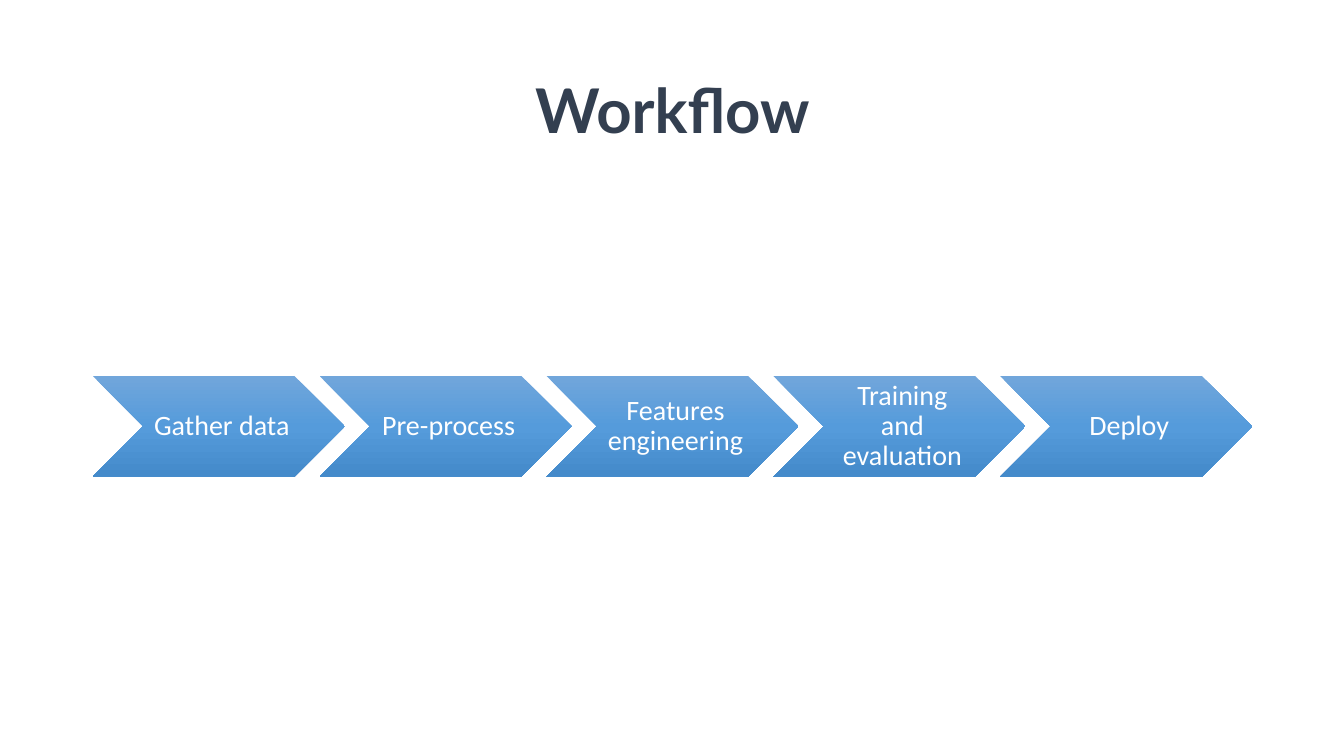
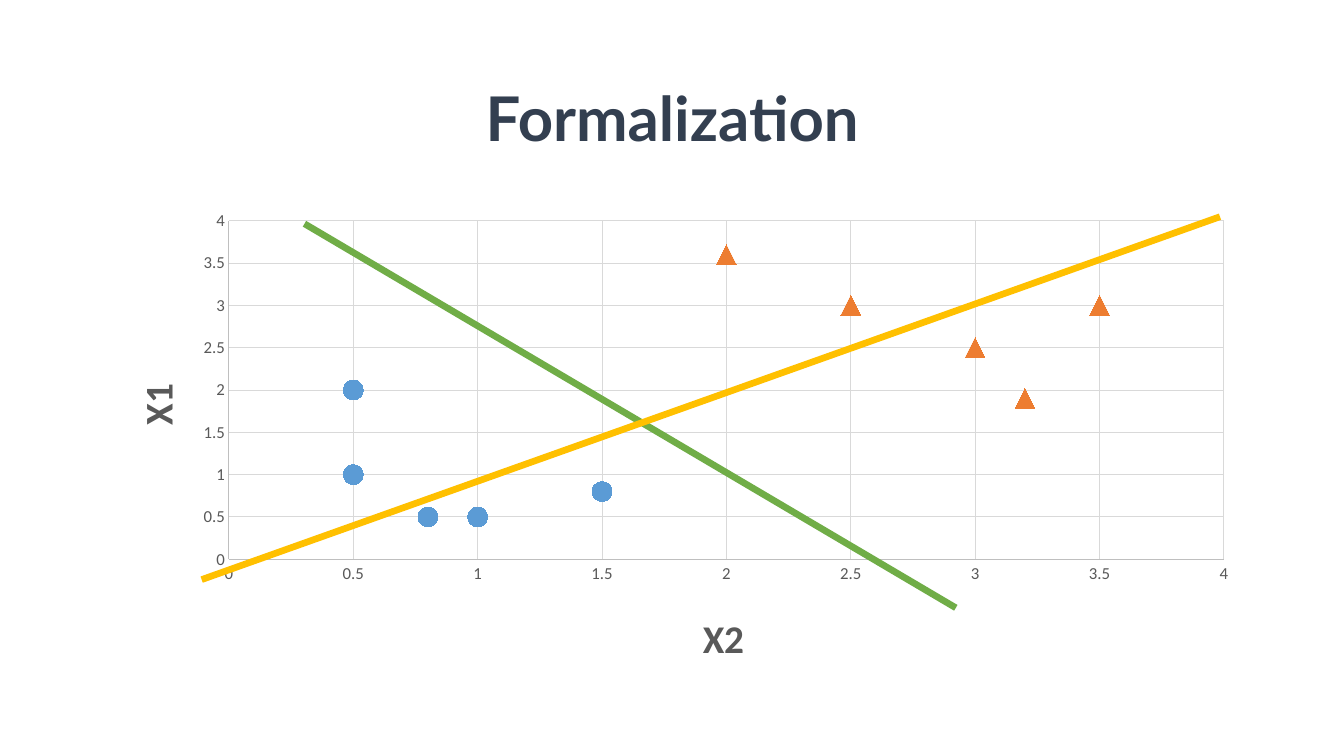
import copy

import pptx
import pptx.chart.data
import pptx.dml.color
import pptx.enum.chart
import pptx.enum.shapes
import pptx.enum.text
import pptx.oxml
import pptx.oxml.ns
import pptx.util

Inches, Pt = pptx.util.Inches, pptx.util.Pt
RGB = pptx.dml.color.RGBColor
qn = pptx.oxml.ns.qn
MARKER = pptx.enum.chart.XL_MARKER_STYLE

# Shared style
NAVY, WHITE = RGB(0x33, 0x3F, 0x50), RGB(0xFF, 0xFF, 0xFF)
BLUE, ORANGE = RGB(0x5B, 0x9B, 0xD5), RGB(0xED, 0x7D, 0x31)
GREEN, YELLOW = RGB(0x70, 0xAD, 0x47), RGB(0xFF, 0xC0, 0x00)
TEXT_GREY, AXIS_GREY, GRID_GREY = RGB(0x59, 0x59, 0x59), RGB(0xBF, 0xBF, 0xBF), RGB(0xD9, 0xD9, 0xD9)
STEP_GRADIENT = [(0, RGB(0x71, 0xA6, 0xDB)), (0.5, RGB(0x55, 0x9B, 0xDB)), (1, RGB(0x44, 0x8A, 0xCA))]
TITLE_FONT, BODY_FONT = "Lato", "Calibri"
LEFT, WIDTH = 0.92, 11.5

# Workflow content
STEPS = ["Gather data", "Pre-process", "Features engineering", "Training and evaluation", "Deploy"]
STEP_TOP, STEP_WIDTH, STEP_HEIGHT, STEP_PITCH = 3.73, 2.5, 1, 2.25

# Formalization content: points are (X2, X1)
CLASSES = [
    ("Series 1", BLUE, MARKER.CIRCLE, [(0.5, 1), (0.5, 2), (1, 0.5), (0.8, 0.5), (1.5, 0.8)]),
    ("Series 2", ORANGE, MARKER.TRIANGLE, [(3.5, 3), (3.2, 1.9), (2, 3.6), (3, 2.5), (2.5, 3)]),
]
BOUNDARIES = [(GREEN, (3.02, 2.22), (9.48, 6.03)), (YELLOW, (12.1, 2.15), (2, 5.75))]
CHART_BOX = (LEFT, 2, WIDTH, 4.76)
PLOT_BOX = (2.27, 2.19, 9.87, 3.36)
X2_TITLE_AT, X1_TITLE_AT = (6.9, 6), (1.23, 3.74)


def add_titled_slide(deck, title, top):
    slide = deck.slides.add_slide(deck.slide_layouts[5])
    heading = slide.shapes.title
    heading.left, heading.top = Inches(LEFT), Inches(top)
    heading.width, heading.height = Inches(WIDTH), Inches(1.45)
    heading.text_frame.text = title
    heading.text_frame.vertical_anchor = pptx.enum.text.MSO_ANCHOR.MIDDLE
    style_paragraph(heading.text_frame.paragraphs[0], TITLE_FONT, 44, NAVY, True)
    return slide


def style_paragraph(paragraph, font, size, color, bold=False):
    paragraph.alignment = pptx.enum.text.PP_ALIGN.CENTER
    paragraph.line_spacing = 0.9
    for run in paragraph.runs:
        style_font(run.font, font, size, color, bold)


def style_font(font, name, size, color, bold=False):
    font.name, font.size, font.bold = name, Pt(size), bold
    font.color.rgb = color


def style_line(line, color, width):
    line.color.rgb = color
    line.width = Pt(width)


def add_step(slide, label, left):
    step = slide.shapes.add_shape(
        pptx.enum.shapes.MSO_SHAPE.CHEVRON,
        Inches(left), Inches(STEP_TOP), Inches(STEP_WIDTH), Inches(STEP_HEIGHT))
    step.shadow.inherit = False
    step.line.fill.background()
    step.fill.gradient()
    step.fill.gradient_angle = 270
    # A new gradient has two stops; add the third
    stops = step._element.spPr.find(".//" + qn("a:gsLst"))
    stops.append(copy.deepcopy(stops[-1]))
    for stop, (position, color) in zip(step.fill.gradient_stops, STEP_GRADIENT):
        stop.position = position
        stop.color.rgb = color
    frame = step.text_frame
    frame.text = label
    frame.word_wrap = True
    frame.vertical_anchor = pptx.enum.text.MSO_ANCHOR.MIDDLE
    frame.margin_left = Inches(0.09)
    frame.margin_right = frame.margin_top = frame.margin_bottom = Inches(0.03)
    style_paragraph(frame.paragraphs[0], BODY_FONT, 20, WHITE)


def set_layout(parent, index, left, top, width=None, height=None):
    """Place a chart part by slide inches."""
    layout = parent.find(qn("c:layout"))
    if layout is None:
        layout = pptx.oxml.parse_xml(f'<c:layout {pptx.oxml.ns.nsdecls("c")}/>')
        parent.insert(index, layout)
    chart_left, chart_top, chart_width, chart_height = CHART_BOX
    values = [("xMode", "edge"), ("yMode", "edge"),
              ("x", (left - chart_left) / chart_width), ("y", (top - chart_top) / chart_height)]
    if width:
        values = [("layoutTarget", "inner")] + values
        values += [("w", width / chart_width), ("h", height / chart_height)]
    manual = layout.makeelement(qn("c:manualLayout"), {})
    layout.append(manual)
    for tag, value in values:
        manual.append(manual.makeelement(qn("c:" + tag), {"val": str(value)}))


def style_axis(axis, title, title_at, rotation):
    axis.minimum_scale, axis.maximum_scale, axis.major_unit = 0, 4, 0.5
    axis.major_tick_mark = axis.minor_tick_mark = pptx.enum.chart.XL_TICK_MARK.NONE
    axis.has_major_gridlines = True
    style_line(axis.major_gridlines.format.line, GRID_GREY, 0.75)
    style_line(axis.format.line, AXIS_GREY, 0.75)
    style_font(axis.tick_labels.font, BODY_FONT, 12, TEXT_GREY)
    axis.tick_labels.number_format = "General"
    axis.tick_labels.number_format_is_linked = False
    frame = axis.axis_title.text_frame
    frame.text = title
    style_font(frame.paragraphs[0].runs[0].font, BODY_FONT, 28, TEXT_GREY, True)
    title_xml = axis.axis_title._element
    body = title_xml.find(".//" + qn("a:bodyPr"))
    body.set("rot", str(rotation * 60000))
    body.set("vert", "horz")
    set_layout(title_xml, 1, *title_at)


def add_scatter(slide):
    data = pptx.chart.data.XyChartData()
    for name, _, _, points in CLASSES:
        series = data.add_series(name)
        for x2, x1 in points:
            series.add_data_point(x2, x1)
    chart = slide.shapes.add_chart(
        pptx.enum.chart.XL_CHART_TYPE.XY_SCATTER, *map(Inches, CHART_BOX), data).chart
    chart.has_title = chart.has_legend = False
    chart.font.name, chart.font.size = BODY_FONT, Pt(10)
    plot = chart.plots[0]
    plot.vary_by_categories = False
    for series, (_, color, marker, _) in zip(plot.series, CLASSES):
        series.smooth = False
        series.format.line.fill.background()
        series.marker.style, series.marker.size = marker, 14
        series.marker.format.fill.solid()
        series.marker.format.fill.fore_color.rgb = color
        style_line(series.marker.format.line, color, 0.75)
    style_axis(chart.category_axis, "X2", X2_TITLE_AT, 0)
    style_axis(chart.value_axis, "X1", X1_TITLE_AT, -90)
    set_layout(chart._chartSpace.find(".//" + qn("c:plotArea")), 0, *PLOT_BOX)


def add_boundary(slide, color, start, end):
    boundary = slide.shapes.add_connector(
        pptx.enum.shapes.MSO_CONNECTOR.STRAIGHT, *map(Inches, start + end))
    style_line(boundary.line, color, 4.75)
    properties = boundary._element.spPr
    properties.append(properties.makeelement(qn("a:effectLst"), {}))


def main():
    deck = pptx.Presentation()
    deck.slide_width, deck.slide_height = Inches(13.33), Inches(7.5)

    # Workflow: a row of chevrons
    workflow = add_titled_slide(deck, "Workflow", 0.4)
    for index, label in enumerate(STEPS):
        add_step(workflow, label, LEFT + index * STEP_PITCH)

    # Formalization: two classes and candidate boundaries
    formalization = add_titled_slide(deck, "Formalization", 0.48)
    add_scatter(formalization)
    for boundary in BOUNDARIES:
        add_boundary(formalization, *boundary)

    deck.save("out.pptx")


if __name__ == "__main__":
    main()
